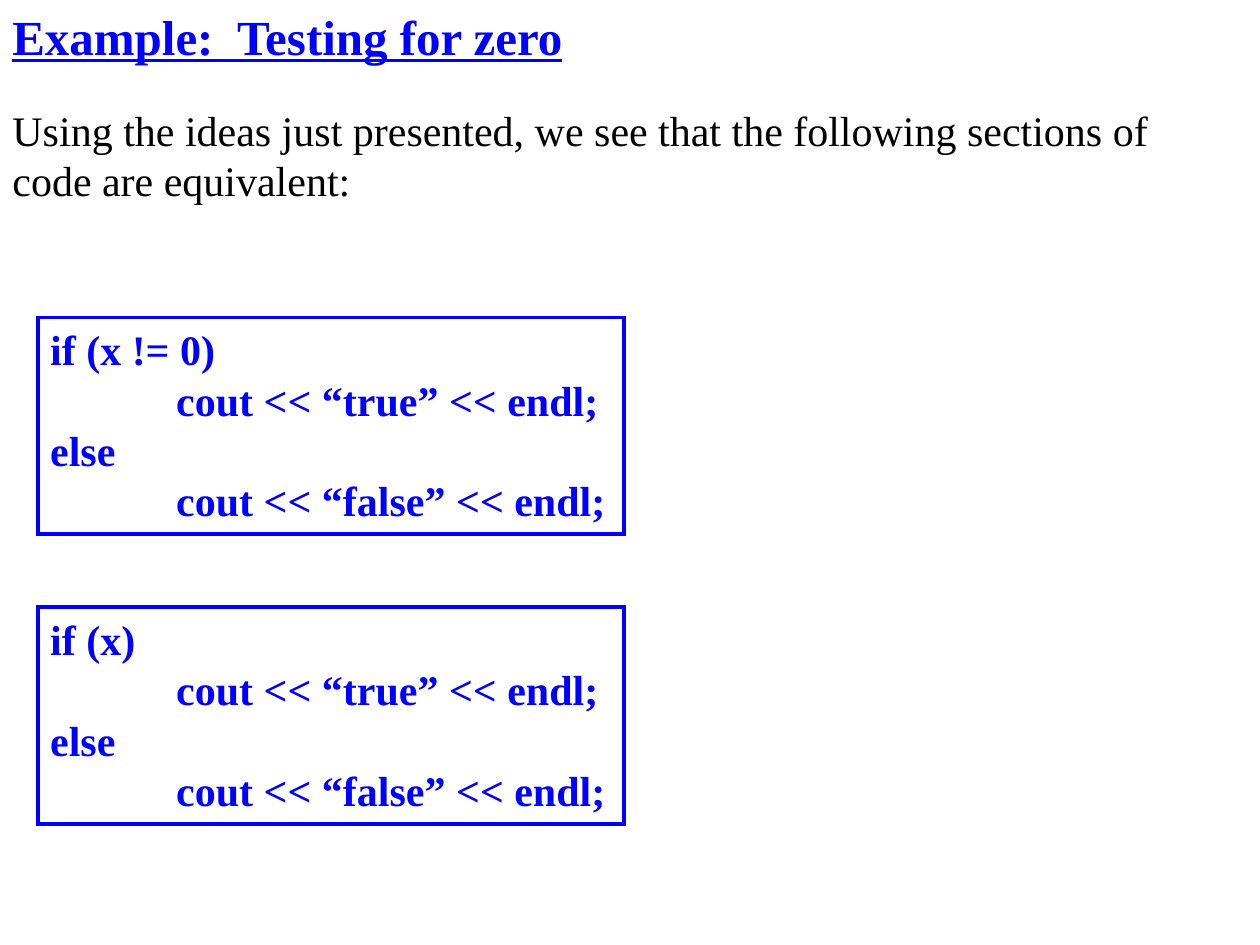
from dataclasses import dataclass

from lxml.etree import SubElement as Sub
from pptx import Presentation
from pptx.dml.color import RGBColor
from pptx.enum.shapes import MSO_SHAPE as Shape
from pptx.enum.text import MSO_ANCHOR as Anchor, MSO_AUTO_SIZE as Fit, PP_ALIGN as Align
from pptx.oxml.ns import qn
from pptx.util import Inches, Pt

CELL = Inches(0.1)
BLUE, BLACK = "0000FF", "000000"
FACE = "Times New Roman"
CODE = "if ({})\n\tcout << “true” << endl;\nelse\n\tcout << “false” << endl;"


@dataclass
class Block:
    """A piece of text placed in grid columns and rows."""
    text: str
    col: float
    row: float
    cols: float
    rows: float
    size: int = 24
    color: str = BLUE
    bold: bool = True
    line: bool = False
    under: bool = False
    wrap: bool = True


def paint(target, color: str) -> None:
    """Give a font or a line a solid hex colour."""
    target.fill.solid()
    target.fill.fore_color.rgb = RGBColor.from_string(color)


def set_tab(para, cols: int) -> None:
    """Put a left tab stop at a number of grid columns."""
    tabs = Sub(para._p.get_or_add_pPr(), qn("a:tabLst"))
    Sub(tabs, qn("a:tab"), pos=str(cols * CELL), algn="l")


def draw(slide, block: Block) -> None:
    """Draw one block, framed if it has a line."""
    area = [round(n * CELL) for n in (block.col, block.row, block.cols, block.rows)]
    if block.line:
        shape = slide.shapes.add_shape(Shape.RECTANGLE, *area)
        shape.shadow.inherit = False
        shape.fill.background()
        paint(shape.line, block.color)
        shape.line.width = Pt(2.25)
        Sub(shape.line._get_or_add_ln(), qn("a:miter"), lim="800000")
    else:
        shape = slide.shapes.add_textbox(*area)
    frame = shape.text_frame
    frame.text = block.text
    frame.word_wrap = block.wrap
    frame.auto_size = Fit.NONE
    frame.vertical_anchor = Anchor.TOP
    for para in frame.paragraphs:
        para.alignment = Align.LEFT
        if para.text.startswith("\t"):
            set_tab(para, 10)
        font = para.font
        font.name, font.size = FACE, Pt(block.size)
        font.bold, font.underline = block.bold, block.under
        paint(font, block.color)


def main() -> None:
    """Build and save the slide."""
    deck = Presentation()
    deck.slide_width, deck.slide_height = 100 * CELL, 75 * CELL
    slide = deck.slides.add_slide(deck.slide_layouts[6])
    intro = ("Using the ideas just presented, we see that the following "
             "sections of code are equivalent:")
    draw(slide, Block(intro, 0, 7.8, 93.9, 9.4, color=BLACK, bold=False))
    draw(slide, Block("Example:  Testing for zero", 0, 0, 46.1, 5.7, 28,
                      under=True, wrap=False))
    for i, test in enumerate(("x != 0", "x")):
        draw(slide, Block(CODE.format(test), 3, 25.2 + 23 * i, 46.5, 17.2, line=True))
    deck.save("out.pptx")


if __name__ == "__main__":
    main()
